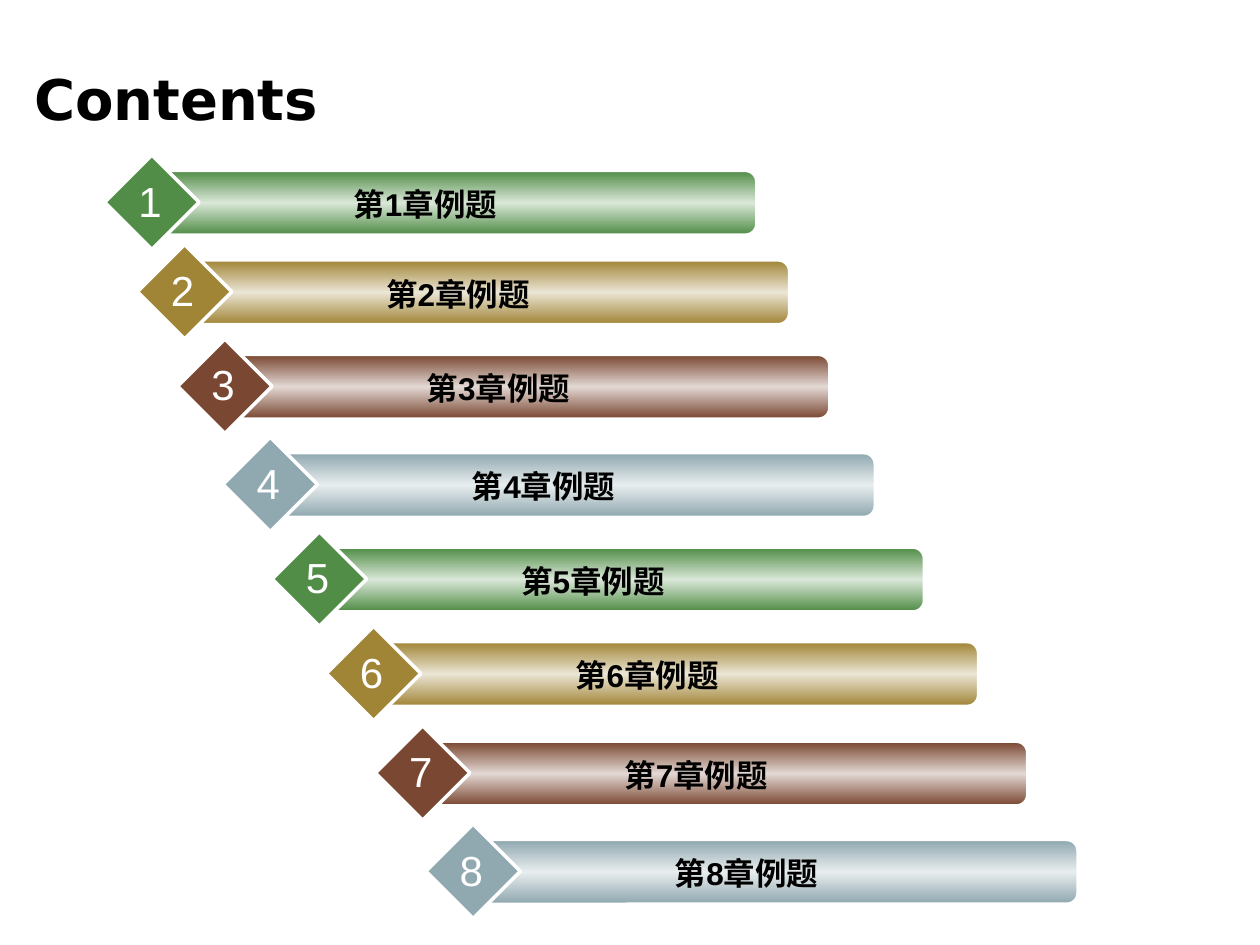
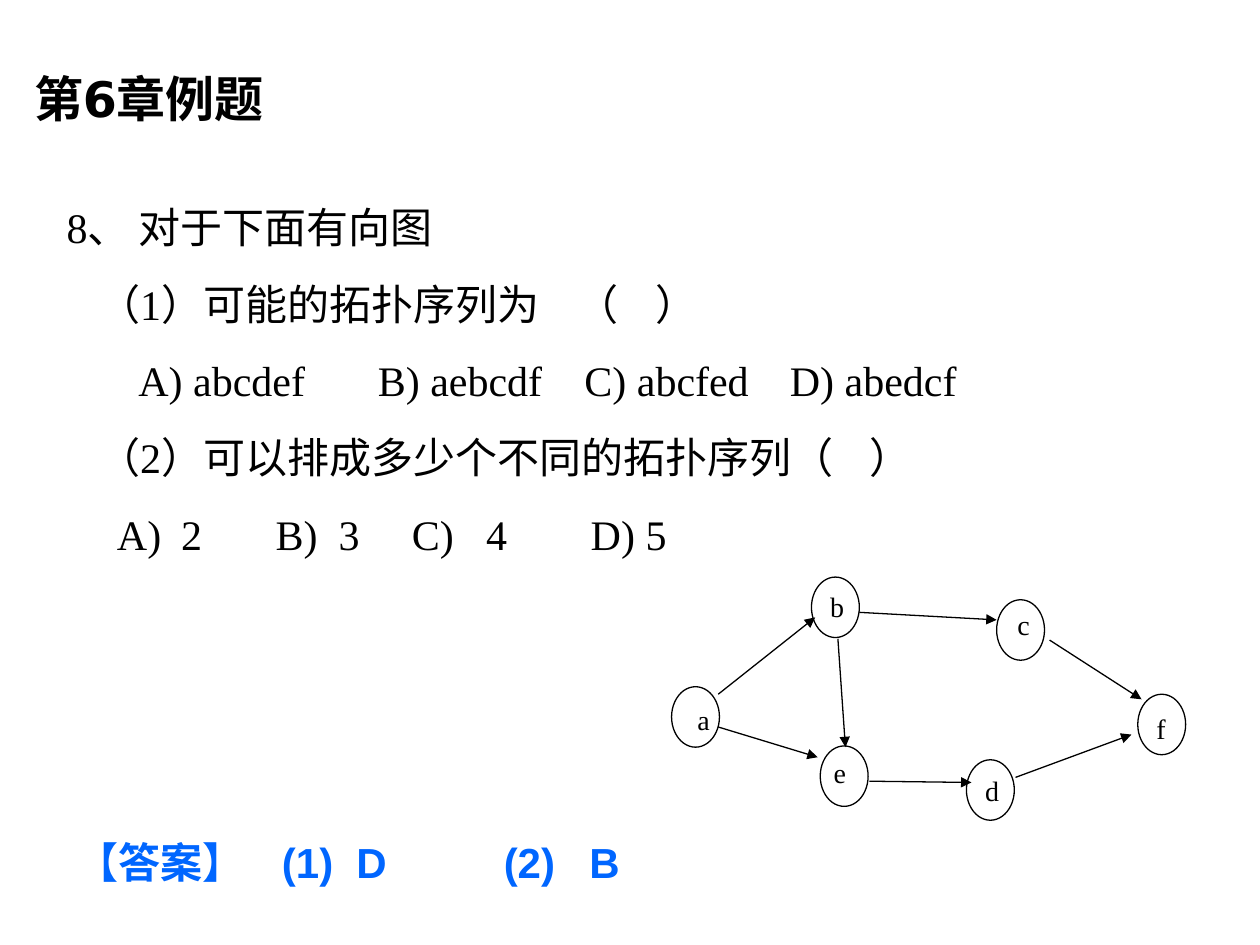
from copy import deepcopy

from lxml.etree import SubElement
from pptx import Presentation
from pptx.dml.color import RGBColor
from pptx.enum.shapes import MSO_CONNECTOR as Connector, MSO_SHAPE as Shape
from pptx.enum.text import MSO_ANCHOR as Anchor, MSO_AUTO_SIZE as AutoSize, PP_ALIGN as Align
from pptx.oxml.ns import qn
from pptx.util import Inches, Pt

COLORS = {"black": "000000", "white": "FFFFFF", "answer": "0066FF"}
# Edge and middle colour of each chapter bar, used in turn
BAR_COLORS = [
    ("518D47", "DAE7D8"),
    ("A18537", "EBE5D5"),
    ("7A4832", "E3D8D4"),
    ("90A8B0", "E7EDEE"),
]
SANS, SERIF, HEADING = "Arial", "Times New Roman", "DejaVu Sans"

# Left and top of each chapter entry
CHAPTER_PLACES = [
    (0.83, 1.23), (1.09, 1.94), (1.41, 2.69), (1.77, 3.47),
    (2.16, 4.22), (2.59, 4.97), (2.98, 5.76), (3.38, 6.54),
]

# Lines of text, each with its tab stops
QUESTION = [
    ("8、 对于下面有向图", []),
    ("\t（1）可能的拓扑序列为\t（\t）", [0.25, 4.05, 4.67]),
    ("\tA) abcdef\tB) aebcdf\tC) abcfed\tD) abedcf", [0.57, 2.47, 4.11, 5.74]),
    ("\t（2）可以排成多少个不同的拓扑序列（\t）", [0.25, 6.37]),
    ("\tA)\t2\tB)\t3\tC)\t4\tD) 5", [0.4, 0.91, 1.66, 2.16, 2.74, 3.33, 4.16]),
]
ANSWER = [("【答案】\t(1)\tD\t(2)\tB", [1.63, 2.22, 3.39, 4.07])]

# Graph parts relative to its box: node corner, label corner
NODES = {
    "a": ((0, 0.87), (0.14, 1.0)),
    "b": ((1.11, 0), (1.2, 0.1)),
    "c": ((2.58, 0.18), (2.68, 0.24)),
    "d": ((2.34, 1.45), (2.43, 1.56)),
    "e": ((1.18, 1.34), (1.22, 1.42)),
    "f": ((3.7, 0.93), (3.77, 1.07)),
}
EDGES = [
    ((0.37, 0.93), (1.14, 0.32)),
    ((3.0, 0.5), (3.73, 0.97)),
    ((1.32, 0.49), (1.38, 1.35)),
    ((1.49, 0.28), (2.58, 0.34)),
    ((2.73, 1.59), (3.65, 1.25)),
    ((0.37, 1.19), (1.16, 1.43)),
    ((1.57, 1.62), (2.38, 1.63)),
]


def rgb(value):
    return RGBColor.from_string(value)


def inches(*values):
    return [Inches(value) for value in values]


def add_run(paragraph, text, size, font_name, color="black", bold=False):
    run = paragraph.add_run()
    run.text = text
    run.font.size = Pt(size)
    run.font.name = font_name
    run.font.bold = bold
    run.font.color.rgb = rgb(COLORS[color])


def set_tabs(paragraph, stops):
    if stops:
        tab_list = SubElement(paragraph._p.get_or_add_pPr(), qn("a:tabLst"))
        for stop in stops:
            SubElement(tab_list, qn("a:tab"), pos=str(Inches(stop)), algn="l")


def set_frame(frame, margins=(0.1, 0.05), wrap=True, anchor=Anchor.TOP):
    frame.auto_size = AutoSize.NONE
    frame.word_wrap = wrap
    frame.vertical_anchor = anchor
    frame.margin_left = frame.margin_right = Inches(margins[0])
    frame.margin_top = frame.margin_bottom = Inches(margins[1])


def add_label(shapes, box, text, size, font_name, color="black", bold=False,
              wrap=True, margins=(0.1, 0.05)):
    frame = shapes.add_textbox(*inches(*box)).text_frame
    set_frame(frame, margins, wrap)
    paragraph = frame.paragraphs[0]
    paragraph.alignment = Align.CENTER
    add_run(paragraph, text, size, font_name, color, bold)


def add_outlined(shapes, kind, box, line_color, line_width):
    shape = shapes.add_shape(kind, *inches(*box))
    shape.shadow.inherit = False
    shape.line.color.rgb = rgb(COLORS[line_color])
    shape.line.width = Pt(line_width)
    return shape


def add_titled_slide(presentation, text, size):
    slide = presentation.slides.add_slide(presentation.slide_layouts[5])
    title = slide.shapes.title
    title.left, title.top, title.width, title.height = inches(0.17, 0.47, 8.42, 0.62)
    set_frame(title.text_frame, anchor=Anchor.MIDDLE)
    paragraph = title.text_frame.paragraphs[0]
    paragraph.alignment = Align.LEFT
    add_run(paragraph, text, size, HEADING, bold=True)
    return slide


def fill_bar(bar, edge, middle):
    bar.fill.gradient()
    bar.fill.gradient_angle = 90
    first = bar.element.spPr.find(".//" + qn("a:gs"))
    first.addnext(deepcopy(first))
    for stop, position, color in zip(bar.fill.gradient_stops, (0, 0.5, 1), (edge, middle, edge)):
        stop.position = position
        stop.color.rgb = rgb(color)


def add_chapter(slide, left, top, number):
    edge, middle = BAR_COLORS[(number - 1) % len(BAR_COLORS)]
    shapes = slide.shapes.add_group_shape().shapes
    # Bar
    bar = add_outlined(shapes, Shape.ROUNDED_RECTANGLE,
                       (left + 0.42, top + 0.13, 4.75, 0.5), "white", 1)
    bar.adjustments[0] = 0.167
    fill_bar(bar, edge, middle)
    # Diamond
    diamond = add_outlined(shapes, Shape.DIAMOND, (left, top, 0.75, 0.75), "white", 2)
    diamond.fill.solid()
    diamond.fill.fore_color.rgb = rgb(edge)
    # Chapter name and number
    add_label(shapes, (left + 0.67, top + 0.19, 3.75, 0.4), f"第{number}章例题", 18, SANS, bold=True)
    add_label(shapes, (left + 0.17, top + 0.11, 0.38, 0.5), str(number), 24, SANS, "white", wrap=False)


def add_tabbed_text(slide, box, lines, font_name, color="black", bold=False):
    frame = slide.shapes.add_textbox(*inches(*box)).text_frame
    set_frame(frame)
    for index, (text, stops) in enumerate(lines):
        paragraph = frame.add_paragraph() if index else frame.paragraphs[0]
        set_tabs(paragraph, stops)
        paragraph.space_before = Pt(15 if index else 0)
        add_run(paragraph, text, 24, font_name, color, bold)


def add_arrow(shapes, start, end):
    arrow = shapes.add_connector(Connector.STRAIGHT, *inches(*start, *end))
    arrow.line.color.rgb = rgb(COLORS["black"])
    arrow.line.width = Pt(0.75)
    SubElement(arrow.line._get_or_add_ln(), qn("a:tailEnd"), type="triangle")
    SubElement(arrow.element.spPr, qn("a:effectLst"))


def add_graph(slide, left, top):
    shapes = slide.shapes.add_group_shape().shapes

    def place(point):
        return left + point[0], top + point[1]

    for letter, (corner, label_corner) in NODES.items():
        node = add_outlined(shapes, Shape.OVAL, (*place(corner), 0.38, 0.48), "black", 0.75)
        node.fill.background()
        add_label(shapes, (*place(label_corner), 0.23, 0.27), letter, 16, SERIF, margins=(0, 0))
    for start, end in EDGES:
        add_arrow(shapes, place(start), place(end))


def build_contents(presentation):
    slide = add_titled_slide(presentation, "Contents", 32)
    for number, (left, top) in enumerate(CHAPTER_PLACES, 1):
        add_chapter(slide, left, top, number)


def build_exercise(presentation):
    slide = add_titled_slide(presentation, "第6章例题", 28)
    add_tabbed_text(slide, (0.43, 1.55, 9.25, 2.94), QUESTION, SERIF)
    add_tabbed_text(slide, (0.51, 6.59, 9.17, 0.5), ANSWER, SANS, "answer", bold=True)
    add_graph(slide, 5.33, 4.58)


def main():
    presentation = Presentation()
    presentation.slide_width, presentation.slide_height = inches(10, 7.5)
    build_contents(presentation)
    build_exercise(presentation)
    presentation.save("out.pptx")


if __name__ == "__main__":
    main()
